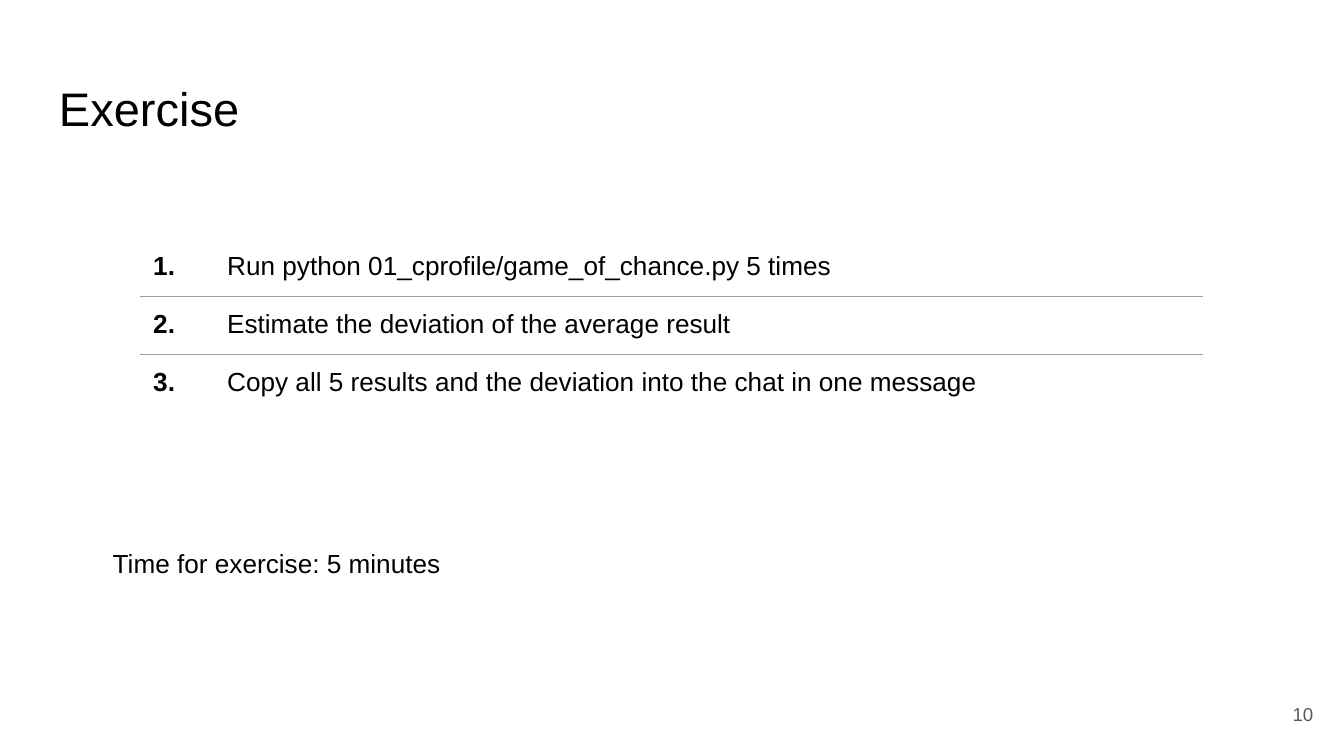
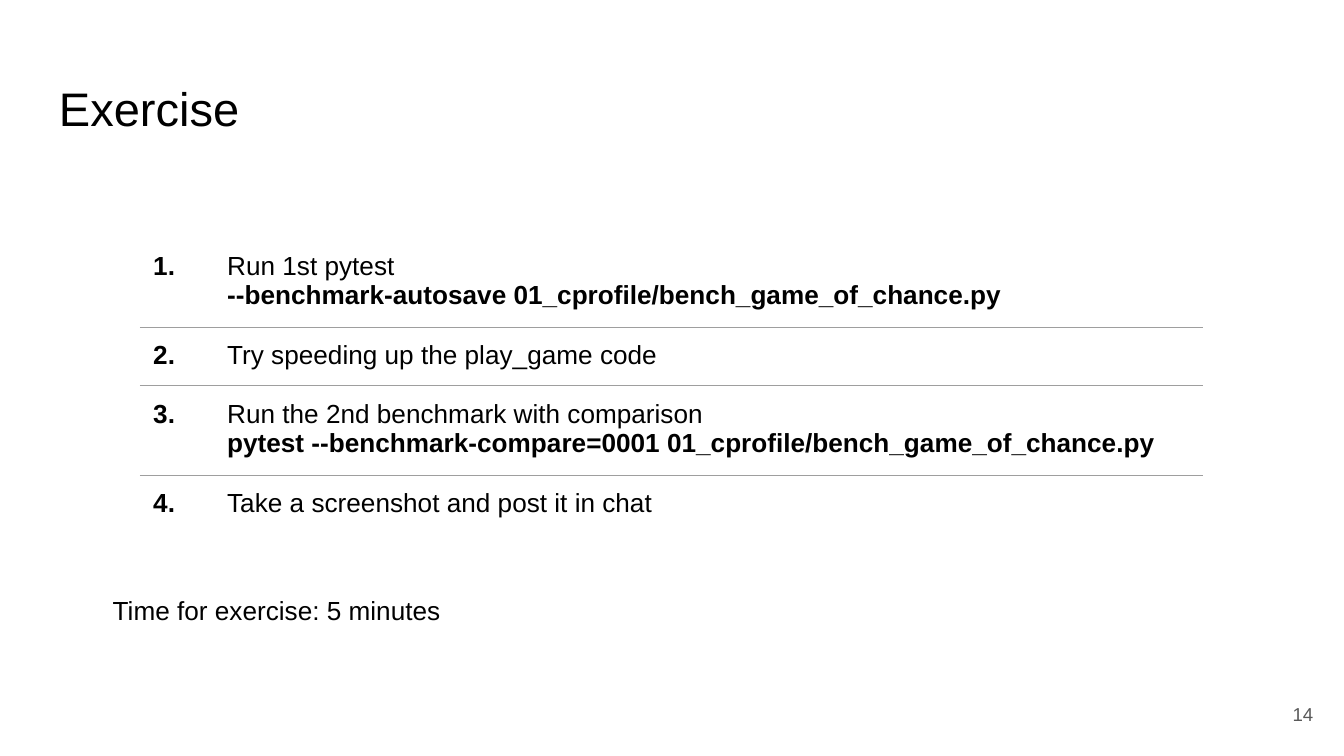
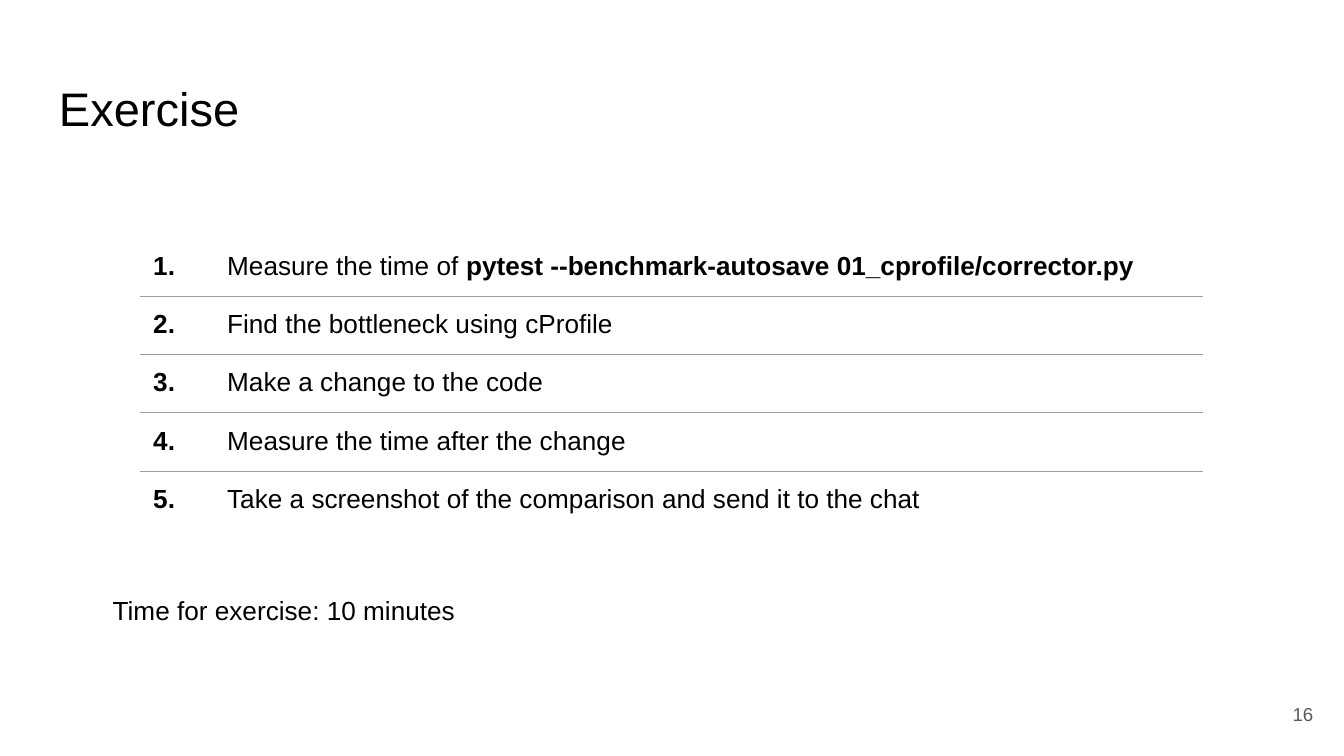
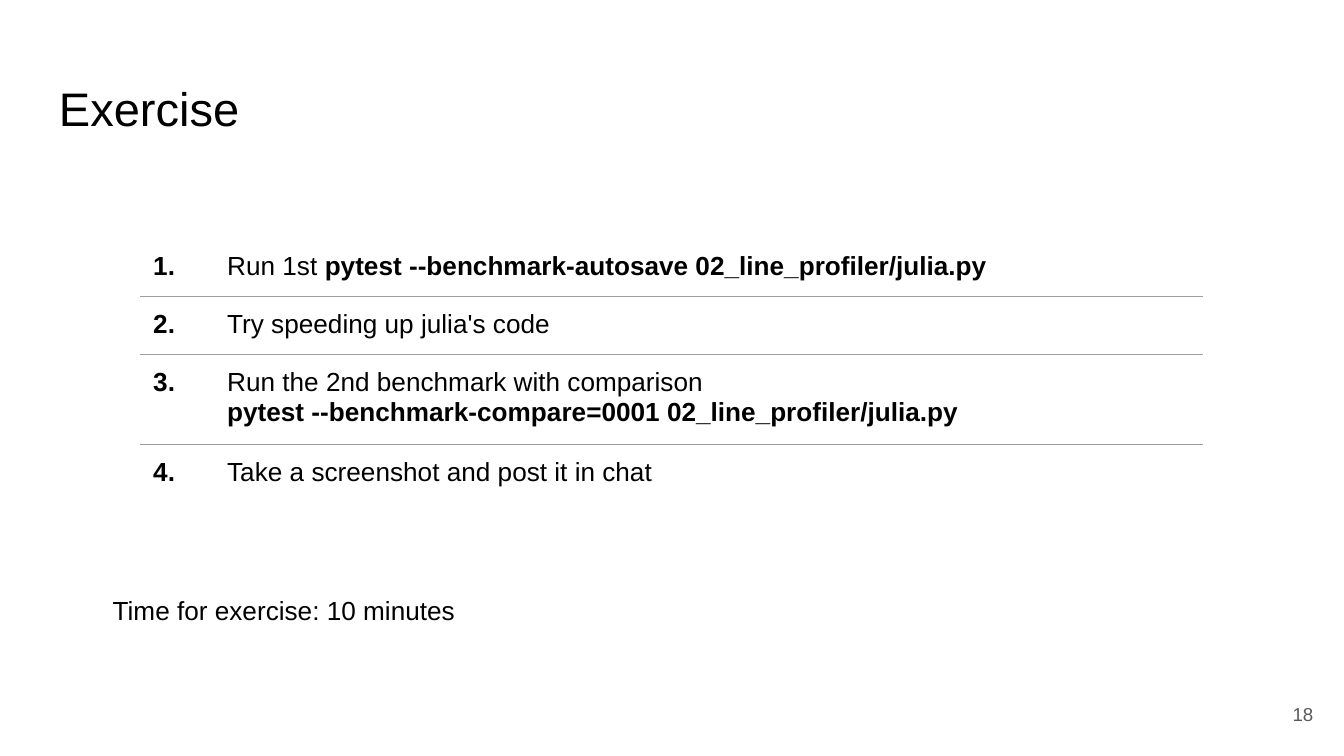
from dataclasses import dataclass

from lxml.etree import SubElement
from pptx import Presentation
from pptx.dml.color import RGBColor
from pptx.enum.text import MSO_ANCHOR as Anchor, PP_ALIGN as Align
from pptx.oxml.ns import qn
from pptx.util import Inches, Pt


@dataclass(frozen=True)
class Theme:
    font: str = "Arial"
    ink: str = "000000"
    muted: str = "595959"
    rule: str = "9E9E9E"
    rule_width: float = 0.75
    title_size: float = 25.2
    body_size: float = 14
    number_size: float = 10
    inset: float = 0.1


theme = Theme()
BREAK = "\n"

exercises = [
    {
        "page": 10,
        "time": "Time for exercise: 5 minutes",
        "time_box": (0.74, 3.97, 3.09, 0.44),
        "steps": [
            [("Run python 01_cprofile/game_of_chance.py 5 times", False)],
            [("Estimate the deviation of the average result", False)],
            [("Copy all 5 results and the deviation into the chat in one message", False)],
        ],
    },
    {
        "page": 14,
        "time": "Time for exercise: 5 minutes",
        "time_box": (0.74, 4.32, 3.09, 0.44),
        "steps": [
            [("Run 1st pytest ", False), (BREAK, False),
             ("--benchmark-autosave 01_cprofile/bench_game_of_chance.py", True)],
            [("Try speeding up the play_game code", False)],
            [("Run the 2nd benchmark with comparison ", False), (BREAK, False),
             ("pytest --benchmark-compare=0001 01_cprofile/bench_game_of_chance.py", True)],
            [("Take a screenshot and post it in chat", False)],
        ],
    },
    {
        "page": 16,
        "time": "Time for exercise: 10 minutes",
        "time_box": (0.74, 4.32, 4.04, 0.44),
        "steps": [
            [("Measure the time of ", False),
             ("pytest --benchmark-autosave 01_cprofile/corrector.py", True)],
            [("Find the bottleneck using cProfile", False)],
            [("Make a change to the code", False)],
            [("Measure the time after the change", False)],
            [("Take a screenshot of the comparison and send it to the chat", False)],
        ],
    },
    {
        "page": 18,
        "time": "Time for exercise: 10 minutes",
        "time_box": (0.74, 4.32, 4.03, 0.44),
        "steps": [
            [("Run 1st ", False),
             ("pytest --benchmark-autosave 02_line_profiler/julia.py", True)],
            [("Try speeding up julia's code", False)],
            [("Run the 2nd benchmark with comparison", False), (BREAK, False),
             ("pytest --benchmark-compare=0001 02_line_profiler/julia.py", True)],
            [("Take a screenshot and post it in chat", False)],
        ],
    },
]


def write_runs(paragraph, runs, size, color=theme.ink):
    for text, bold in runs:
        if text == BREAK:
            paragraph.add_line_break()
            SubElement(paragraph._p[-1], qn("a:rPr"), sz=str(int(size * 100)))
            continue
        run = paragraph.add_run()
        run.text = text
        run.font.name = theme.font
        run.font.size = Pt(size)
        run.font.bold = bold
        run.font.color.rgb = RGBColor.from_string(color)
    SubElement(paragraph._p, qn("a:endParaRPr"), sz=str(int(size * 100)))


def add_label(slide, box, text, size, color=theme.ink, align=Align.LEFT, anchor=Anchor.TOP):
    frame = slide.shapes.add_textbox(*map(Inches, box)).text_frame
    frame.word_wrap = True
    frame.vertical_anchor = anchor
    frame.margin_left = frame.margin_right = Inches(theme.inset)
    frame.margin_top = frame.margin_bottom = Inches(theme.inset)
    frame.paragraphs[0].alignment = align
    write_runs(frame.paragraphs[0], [(text, False)], size, color)


deck = Presentation()
deck.slide_width = Inches(10)
deck.slide_height = Inches(10 * 9 / 16)
column_widths = (0.55, 7.36)
row_height = 0.42
checklist_side = 3.28

for exercise in exercises:
    slide = deck.slides.add_slide(deck.slide_layouts[6])
    add_label(slide, (0.34, 0.49, 9.32, 0.63), "Exercise", theme.title_size)

    steps = exercise["steps"]
    holder = slide.shapes.add_table(
        len(steps), len(column_widths), Inches(1.04), Inches(1.77),
        Inches(checklist_side), Inches(checklist_side))
    checklist = holder.table
    checklist.first_row = False
    checklist.horz_banding = False
    for column, width in zip(checklist.columns, column_widths):
        column.width = Inches(width)

    for index, step in enumerate(steps):
        checklist.rows[index].height = Inches(row_height)
        ruled_sides = {"a:lnT": index > 0, "a:lnB": index < len(steps) - 1}
        for column, runs in enumerate(([(f"{index + 1}.", True)], step)):
            cell = checklist.cell(index, column)
            cell.margin_left = cell.margin_right = Inches(theme.inset)
            cell.margin_top = cell.margin_bottom = Inches(theme.inset)
            write_runs(cell.text_frame.paragraphs[0], runs, theme.body_size)
            properties = cell._tc.get_or_add_tcPr()
            for side in ("a:lnL", "a:lnR", "a:lnT", "a:lnB"):
                border = SubElement(properties, qn(side), w=str(Pt(theme.rule_width)))
                if ruled_sides.get(side):
                    ink = SubElement(border, qn("a:solidFill"))
                    SubElement(ink, qn("a:srgbClr"), val=theme.rule)
                else:
                    SubElement(border, qn("a:noFill"))
            cell.fill.background()
    holder.width = holder.height = Inches(checklist_side)

    add_label(slide, exercise["time_box"], exercise["time"], theme.body_size)
    add_label(slide, (9.27, 5.1, 0.6, 0.43), str(exercise["page"]), theme.number_size,
              theme.muted, Align.RIGHT, Anchor.MIDDLE)

deck.save("out.pptx")
